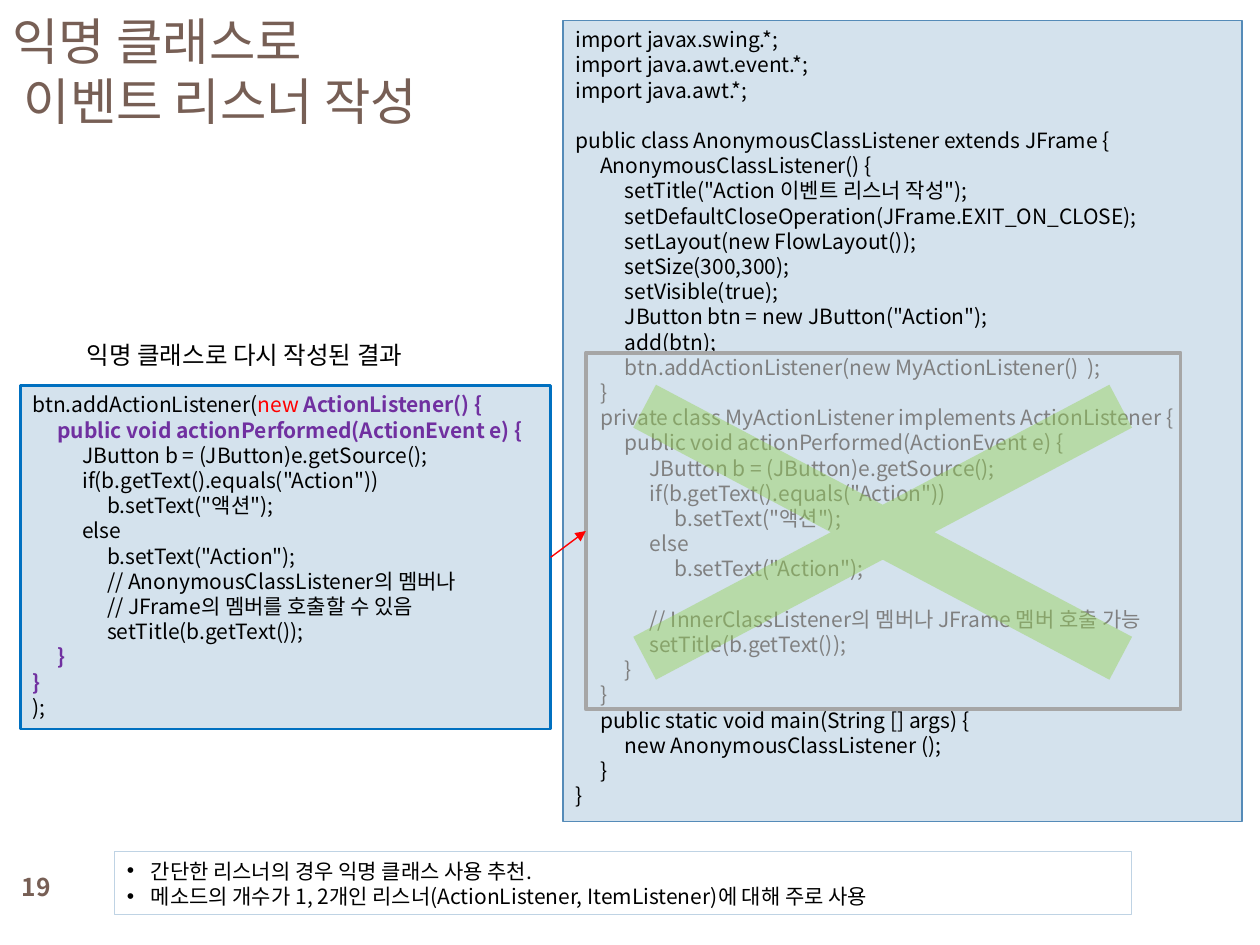
from lxml import etree
from pptx import Presentation
from pptx.dml.color import RGBColor
from pptx.enum.shapes import MSO_CONNECTOR, MSO_SHAPE
from pptx.enum.text import MSO_ANCHOR, MSO_AUTO_SIZE, PP_ALIGN
from pptx.oxml.ns import qn
from pptx.util import Cm, Pt

RECT, CROSS = MSO_SHAPE.RECTANGLE, MSO_SHAPE.MATH_MULTIPLY
LEFT, CENTER = PP_ALIGN.LEFT, PP_ALIGN.CENTER
TOP, MIDDLE = MSO_ANCHOR.TOP, MSO_ANCHOR.MIDDLE
FONT = "Noto Sans CJK KR"
BLACK, GREY, RED, PURPLE, BROWN = "000000", "808080", "FF0000", "7030A0", "775F55"
PALE_BLUE = "D4E2ED"
LINE_RATIO = 1.2
TAB_CM = 0.5
BULLET_CM = 0.48

# Runs are (text, colour, bold); four leading spaces stand for one tab.
TITLE = [("익명 클래스로\v 이벤트 리스너 작성", BROWN, False)]
NUMBER = [("19", BROWN, True)]
CAPTION = [("익명 클래스로 다시 작성된 결과", BLACK, False)]
NOTES = [("""간단한 리스너의 경우 익명 클래스 사용 추천.
메소드의 개수가 1, 2개인 리스너(ActionListener, ItemListener)에 대해 주로 사용""", BLACK, False)]

FULL_CODE = [
    ("""import javax.swing.*;
import java.awt.event.*;
import java.awt.*;

public class AnonymousClassListener extends JFrame {
    AnonymousClassListener() {
        setTitle("Action 이벤트 리스너 작성");
        setDefaultCloseOperation(JFrame.EXIT_ON_CLOSE);
        setLayout(new FlowLayout());
        setSize(300,300);
        setVisible(true);
        JButton btn = new JButton("Action");
        add(btn);
""", BLACK, False),
    ("""        btn.addActionListener(new MyActionListener()  );
    }
    private class MyActionListener implements ActionListener {
        public void actionPerformed(ActionEvent e) {
            JButton b = (JButton)e.getSource();
            if(b.getText().equals("Action"))
                b.setText("액션");
            else
                b.setText("Action");

            // InnerClassListener의 멤버나 JFrame 멤버 호출 가능
            setTitle(b.getText());
        }
    }
""", GREY, False),
    ("""    public static void main(String [] args) {
        new AnonymousClassListener ();
    }
}""", BLACK, False),
]

ANONYMOUS_CODE = [
    ("btn.addActionListener(", BLACK, False),
    ("new ", RED, False),
    ("""ActionListener() {
    public void actionPerformed(ActionEvent e) {
""", PURPLE, True),
    ("""        JButton b = (JButton)e.getSource();
        if(b.getText().equals("Action"))
            b.setText("액션");
        else
            b.setText("Action");
            // AnonymousClassListener의 멤버나
            // JFrame의 멤버를 호출할 수 있음
            setTitle(b.getText());
""", BLACK, False),
    ("""    }
}
""", PURPLE, True),
    (");", BLACK, False),
]


def rgb(color):
    return RGBColor.from_string(color)


def add_box(s, shape_type, at, fill=None, line=None, width=0.75):
    sp = s.shapes.add_shape(shape_type, *map(Cm, at))
    sp.shadow.inherit = False
    if fill:
        sp.fill.solid()
        sp.fill.fore_color.rgb = rgb(fill)
    else:
        sp.fill.background()
    if line:
        sp.line.color.rgb = rgb(line)
        sp.line.width = Pt(width)
    else:
        sp.line.fill.background()
    return sp


def add_paragraph_marks(p, bullets):
    """Give a paragraph its bullet or its tab stops."""
    pPr = p._p.get_or_add_pPr()
    if bullets:
        pPr.set("marL", str(Cm(BULLET_CM)))
        pPr.set("indent", str(-Cm(BULLET_CM)))
        etree.SubElement(pPr, qn("a:buFont"), typeface="Arial")
        etree.SubElement(pPr, qn("a:buChar"), char="•")
    else:
        tabs = etree.SubElement(pPr, qn("a:tabLst"))
        for n in range(1, 5):
            etree.SubElement(tabs, qn("a:tab"), pos=str(Cm(TAB_CM * n)), algn="l")


def add_run(p, text, size, color, bold):
    r = p.add_run()
    body = text.lstrip(" ")
    levels, spaces = divmod(len(text) - len(body), 4)
    r.text = "\t" * levels + " " * spaces + body
    for name, value in {"name": FONT, "size": Pt(size), "bold": bold}.items():
        setattr(r.font, name, value)
    r.font.color.rgb = rgb(color)
    etree.SubElement(r._r.get_or_add_rPr(), qn("a:ea"), typeface=FONT)


def write(sp, runs, size=12, align=LEFT, anchor=TOP, bullets=False):
    tf = sp.text_frame
    frame_format = {
        "word_wrap": True, "auto_size": MSO_AUTO_SIZE.NONE, "vertical_anchor": anchor,
        "margin_left": Cm(0.25), "margin_right": Cm(0.25),
        "margin_top": Cm(0.13), "margin_bottom": Cm(0.13),
    }
    for name, value in frame_format.items():
        setattr(tf, name, value)
    p = tf.paragraphs[0]
    for text, color, bold in runs:
        for i, line in enumerate(text.split("\n")):
            if i:
                p = tf.add_paragraph()
            for j, part in enumerate(line.split("\v")):
                if j:
                    p.add_line_break()
                if part:
                    add_run(p, part, size, color, bold)
    for p in tf.paragraphs:
        p.alignment = align
        p.line_spacing = Pt(size * LINE_RATIO)
        p.space_before = p.space_after = Pt(0)
        add_paragraph_marks(p, bullets)


def add_label(s, at, runs, **text_format):
    write(s.shapes.add_textbox(*map(Cm, at)), runs, **text_format)


def add_arrow(s, start, end, color, width):
    """Join the right side of one box to the left side of another."""
    line = s.shapes.add_connector(MSO_CONNECTOR.STRAIGHT, 0, 0, 0, 0)
    line.begin_connect(start, 3)
    line.end_connect(end, 1)
    line.line.color.rgb = rgb(color)
    line.line.width = Pt(width)
    etree.SubElement(line.line._get_or_add_ln(), qn("a:tailEnd"), type="triangle")
    etree.SubElement(line._element.spPr, qn("a:effectLst"))


def main():
    prs = Presentation()
    prs.slide_width, prs.slide_height = Cm(25.4), Cm(19.05)
    s = prs.slides.add_slide(prs.slide_layouts[5])

    title = s.shapes.title
    title.left, title.top, title.width, title.height = map(Cm, (0, 0.48, 22.66, 1.88))
    write(title, TITLE, size=28.8, anchor=MIDDLE)
    add_label(s, (0, 17.35, 1.47, 1.07), NUMBER, size=14, align=CENTER, anchor=MIDDLE)

    full = add_box(s, RECT, (11.35, 0.41, 13.69, 16.15), PALE_BLUE, "558BB8")
    write(full, FULL_CODE)
    anonymous = add_box(s, RECT, (0.41, 7.77, 10.69, 6.93), PALE_BLUE, "0070C0", 1.5)
    write(anonymous, ANONYMOUS_CODE)
    add_label(s, (1.5, 6.73, 7.8, 0.86), CAPTION, size=14)

    notes = add_box(s, RECT, (2.31, 17.17, 20.5, 1.27), line="BFD3E4")
    write(notes, NOTES, bullets=True)

    replaced = add_box(s, RECT, (11.81, 7.11, 11.99, 7.19), line="A6A6A6", width=2.25)
    add_arrow(s, anonymous, replaced, RED, 0.79)
    cross = add_box(s, CROSS, (8.56, 5.84, 18.47, 9.78), "92D050")
    cross.adjustments[0] = 0.1
    color = cross._element.spPr.find(".//" + qn("a:srgbClr"))
    etree.SubElement(color, qn("a:alpha"), val="44000")

    prs.save("out.pptx")


if __name__ == "__main__":
    main()
